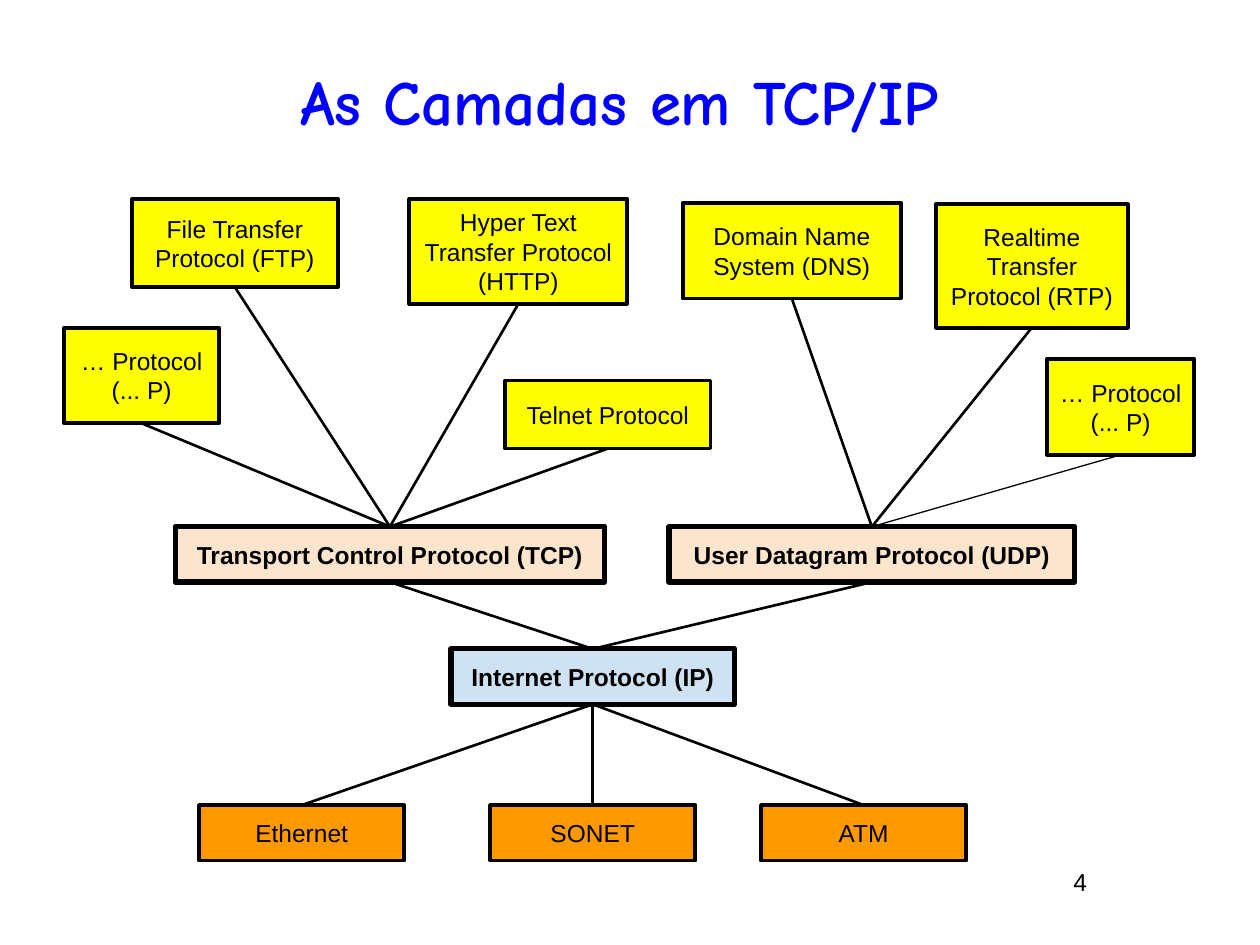
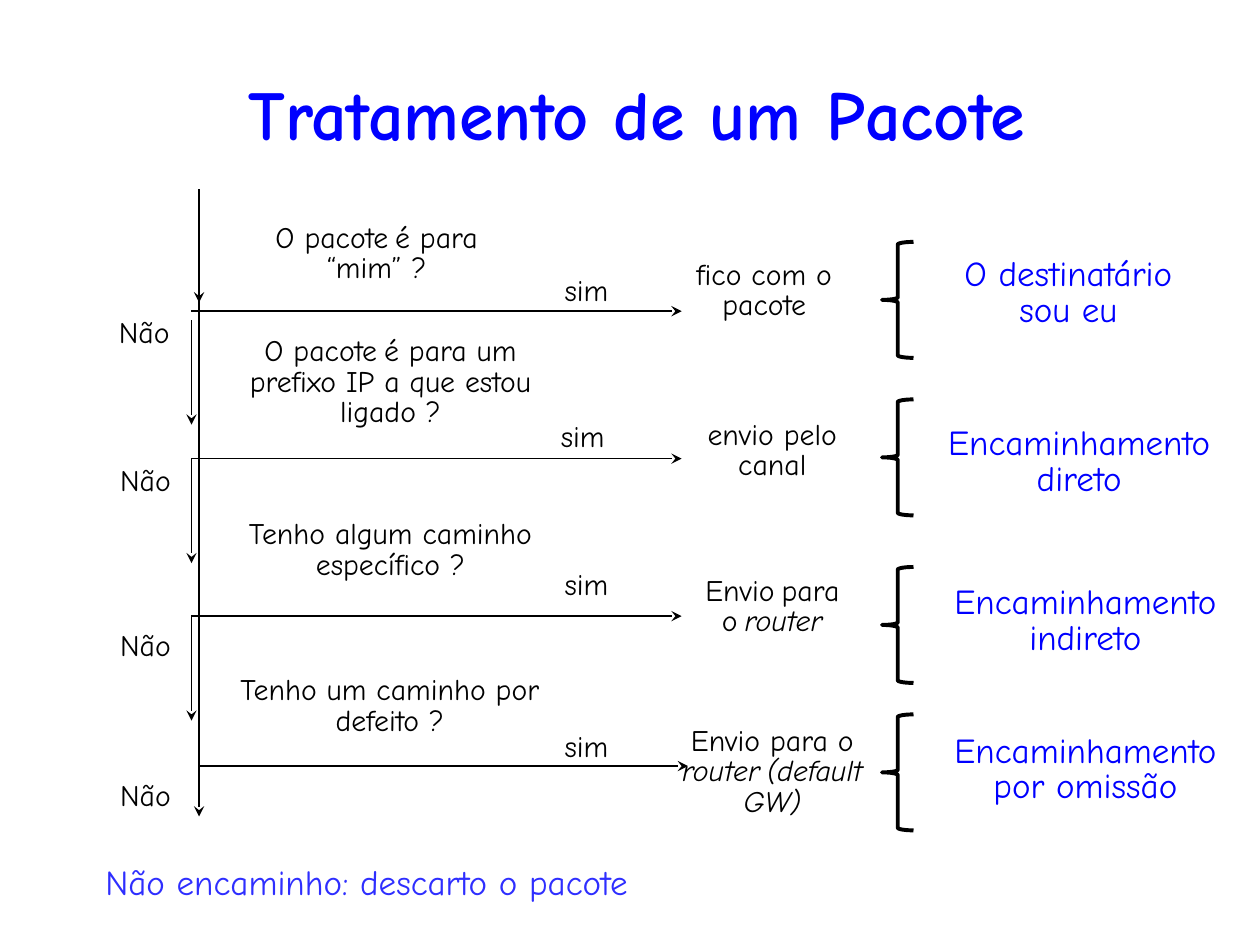
from dataclasses import dataclass

from lxml.etree import SubElement
from pptx import Presentation
from pptx.dml.color import RGBColor
from pptx.enum.shapes import MSO_CONNECTOR as Link, MSO_SHAPE as Preset
from pptx.enum.text import MSO_ANCHOR as Anchor, PP_ALIGN as Align
from pptx.oxml.ns import qn
from pptx.util import Inches, Pt

# Slide grid: 10 columns by 7.5 rows
WIDTH, HEIGHT = Inches(10), Inches(7.5)
COLUMN, ROW = WIDTH / 10, HEIGHT / 7.5

# Shared style
BLACK, BLUE, SOFT_BLUE = "000000", "0000FF", "2E2EFF"
YELLOW, PEACH, SKY, ORANGE = "FFFF00", "FCE5CD", "CFE2F3", "FF9900"
SANS, COMIC = "Arial", "Comic Neue"
WIDE_INSETS, TIGHT_INSETS = (0.1, 0.05), (0.07, 0.03)
TOP, BOTTOM = 0, 2


def color(hex_code):
    return RGBColor.from_string(hex_code)


def place(left, top, width, height):
    return (round(left * COLUMN), round(top * ROW),
            round(width * COLUMN), round(height * ROW))


def style_run(run, size, font, ink=BLACK, bold=False, italic=False):
    run.font.size, run.font.name = Pt(size), font
    run.font.color.rgb = color(ink)
    run.font.bold, run.font.italic = bold, italic


def set_frame(frame, insets, anchor):
    frame.word_wrap = True
    frame.vertical_anchor = anchor
    frame.margin_left = frame.margin_right = Inches(insets[0])
    frame.margin_top = frame.margin_bottom = Inches(insets[1])


def add_text(slide, box, words, size, font=COMIC, ink=BLACK, bold=False,
             align=Align.CENTER, insets=TIGHT_INSETS, anchor=Anchor.TOP,
             spacing=0.85):
    """A line break starts a paragraph, "|" is a small sans space, "*" marks italics."""
    frame = slide.shapes.add_textbox(*place(*box)).text_frame
    set_frame(frame, insets, anchor)
    for number, line in enumerate(words.split("\n")):
        paragraph = frame.add_paragraph() if number else frame.paragraphs[0]
        paragraph.alignment, paragraph.line_spacing = align, spacing
        for position, piece in enumerate(line.split("|")):
            if position:
                gap = paragraph.add_run()
                gap.text = " "
                style_run(gap, 14, SANS, ink)
            run = paragraph.add_run()
            run.text = piece.lstrip("*")
            style_run(run, size, font, ink, bold, piece.startswith("*"))


def add_title(slide, box, words, size):
    add_text(slide, box, words, size, ink=BLUE, bold=True,
             insets=WIDE_INSETS, anchor=Anchor.MIDDLE, spacing=1)


def add_protocol(slide, box, name, fill, core=False):
    protocol = slide.shapes.add_shape(Preset.RECTANGLE, *place(*box))
    protocol.shadow.inherit = False
    protocol.fill.solid()
    protocol.fill.fore_color.rgb = color(fill)
    protocol.line.color.rgb = color(BLACK)
    protocol.line.width = Pt(3 if core else 2.25)
    frame = protocol.text_frame
    frame.text = name
    set_frame(frame, (0.1, 0.1), Anchor.MIDDLE)
    frame.paragraphs[0].alignment = Align.CENTER
    style_run(frame.paragraphs[0].runs[0], 14, SANS, bold=core)
    return protocol


def add_line(slide, start=(0, 0), end=(0, 0), weight=1.0):
    line = slide.shapes.add_connector(Link.STRAIGHT, *place(*start, *end))
    line.line.color.rgb = color(BLACK)
    line.line.width = Pt(weight)
    SubElement(line._element.spPr, qn("a:effectLst"))
    return line


def add_arrow(slide, start, end):
    arrow = add_line(slide, start, end)
    SubElement(arrow.line._get_or_add_ln(), qn("a:tailEnd"), type="stealth")


def link_layers(slide, upper, lower, weight=1.5):
    link = add_line(slide, weight=weight)
    link.begin_connect(upper, BOTTOM)
    link.end_connect(lower, TOP)


def add_brace(slide, top):
    brace = slide.shapes.add_shape(Preset.LEFT_BRACE, *place(7, top, 0.25, 0.92))
    brace.shadow.inherit = False
    brace.adjustments[0], brace.adjustments[1] = 0.083, 0.5
    brace.fill.background()
    brace.line.color.rgb = color(BLACK)
    brace.line.width = Pt(2.25)


# Application protocols, by the transport that carries them
OVER_TCP = [
    ((0.51, 2.6, 1.23, 0.76), "… Protocol (... P)"),
    ((1.05, 1.58, 1.63, 0.7), "File Transfer Protocol (FTP)"),
    ((3.25, 1.58, 1.73, 0.83), "Hyper Text Transfer Protocol (HTTP)"),
    ((4.01, 3.02, 1.63, 0.54), "Telnet Protocol"),
]
OVER_UDP = [
    ((5.42, 1.61, 1.73, 0.76), "Domain Name System (DNS)"),
    ((7.43, 1.62, 1.52, 0.98), "Realtime Transfer Protocol (RTP)"),
]
OTHER_OVER_UDP = ((8.31, 2.85, 1.17, 0.76), "… Protocol (... P)")
NETWORKS = [(1.58, "Ethernet"), (3.89, "SONET"), (6.04, "ATM")]


def build_layers(slide):
    add_title(slide, (0.33, 0.42, 9.17, 0.75), "As Camadas em TCP/IP", 36)
    add_text(slide, (8.42, 6.83, 1, 0.42), "4", 14, SANS, align=Align.LEFT,
             insets=WIDE_INSETS, spacing=1)

    # Internet and transport layers
    internet = add_protocol(slide, (3.58, 5.15, 2.25, 0.44),
                            "Internet Protocol (IP)", SKY, core=True)
    tcp = add_protocol(slide, (1.39, 4.18, 3.41, 0.44),
                       "Transport Control Protocol (TCP)", PEACH, core=True)
    udp = add_protocol(slide, (5.31, 4.18, 3.22, 0.44),
                       "User Datagram Protocol (UDP)", PEACH, core=True)
    for transport, applications in ((tcp, OVER_TCP), (udp, OVER_UDP)):
        link_layers(slide, transport, internet)
        for box, name in applications:
            link_layers(slide, add_protocol(slide, box, name, YELLOW), transport)
    other = add_protocol(slide, *OTHER_OVER_UDP, YELLOW)
    link_layers(slide, other, udp, weight=0.75)

    # Network layer
    for left, name in NETWORKS:
        network = add_protocol(slide, (left, 6.39, 1.63, 0.44), name, ORANGE)
        link_layers(slide, internet, network)


@dataclass
class Decision:
    question: str
    question_box: tuple
    yes_arrow: tuple        # left, right, height of the arrow
    yes_label: tuple
    action: str
    action_box: tuple
    brace_top: float
    outcome: str
    outcome_box: tuple
    no_label: tuple
    no_arrow_top: float = 0


DECISIONS = [
    Decision("O pacote|é para|“mim” ?", (1.87, 1.75, 2.24, 0.63),
             (1.52, 5.41, 2.47), (4.37, 2.17),
             "fico com o|pacote", (5.34, 2.04, 1.45, 0.87),
             1.92, "O destinatário\nsou eu", (7.36, 2.02, 2.24, 0.63),
             (0.84, 2.5), 2.54),
    Decision("O pacote|é para um prefixo IP a que estou ligado ?",
             (1.72, 2.65, 2.76, 0.87), (1.52, 5.41, 3.64), (4.34, 3.33),
             "envio pelo canal", (5.46, 3.31, 1.34, 0.79),
             3.17, "Encaminhamento\ndireto", (7.31, 3.36, 2.51, 0.63),
             (0.85, 3.68), 3.64),
    Decision("Tenho algum caminho|específico ?", (1.72, 4.1, 2.76, 0.79),
             (1.52, 5.41, 4.89), (4.37, 4.5),
             "Envio|para o|*router", (5.46, 4.55, 1.34, 0.79),
             4.5, "Encaminhamento\nindireto", (7.36, 4.62, 2.51, 0.63),
             (0.85, 4.99), 4.89),
    Decision("Tenho um caminho por defeito ?", (1.64, 5.34, 2.91, 0.79),
             (1.58, 5.46, 6.08), (4.37, 5.79),
             "Envio para o|*router|*(default GW)", (5.26, 5.74, 1.74, 0.79),
             5.67, "Encaminhamento\npor omissão", (7.36, 5.8, 2.51, 0.63),
             (0.85, 6.18)),
]


def add_decision(slide, step):
    left, right, level = step.yes_arrow
    add_text(slide, step.question_box, step.question, 17)
    add_arrow(slide, (left, level), (right, level))
    add_text(slide, (*step.yes_label, 0.57, 0.3), "sim", 17)
    add_text(slide, step.action_box, step.action, 17)
    add_brace(slide, step.brace_top)
    add_text(slide, step.outcome_box, step.outcome, 20, ink=BLUE)
    add_text(slide, (*step.no_label, 0.61, 0.3), "Não", 17)
    if step.no_arrow_top:
        add_arrow(slide, (1.52, step.no_arrow_top), (1.52, step.no_arrow_top + 0.83))


def build_packet_handling(slide):
    add_title(slide, (0.29, 0.31, 9.53, 1.17), "Tratamento de um Pacote", 40)
    # Path of the packet through the decisions
    add_arrow(slide, (1.58, 1.5), (1.58, 6.48))
    add_arrow(slide, (1.58, 1.57), (1.58, 2.4))
    for step in DECISIONS:
        add_decision(slide, step)
    add_text(slide, (0.56, 6.85, 4.7, 0.44),
             "Não encaminho: descarto o pacote", 20, ink=SOFT_BLUE)


def main():
    deck = Presentation()
    deck.slide_width, deck.slide_height = WIDTH, HEIGHT
    blank = deck.slide_layouts[6]
    for build in (build_layers, build_packet_handling):
        build(deck.slides.add_slide(blank))
    deck.save("out.pptx")


if __name__ == "__main__":
    main()
